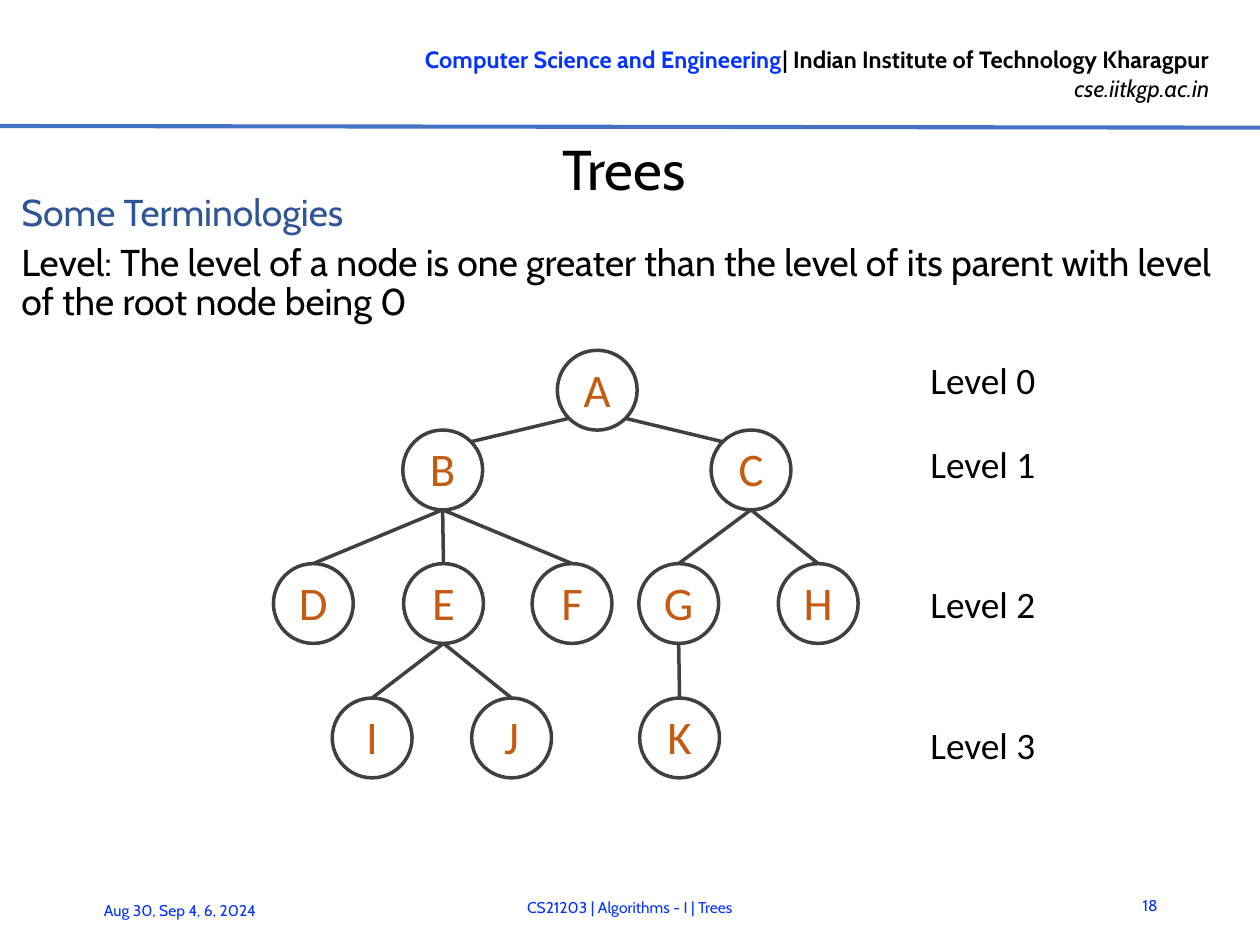
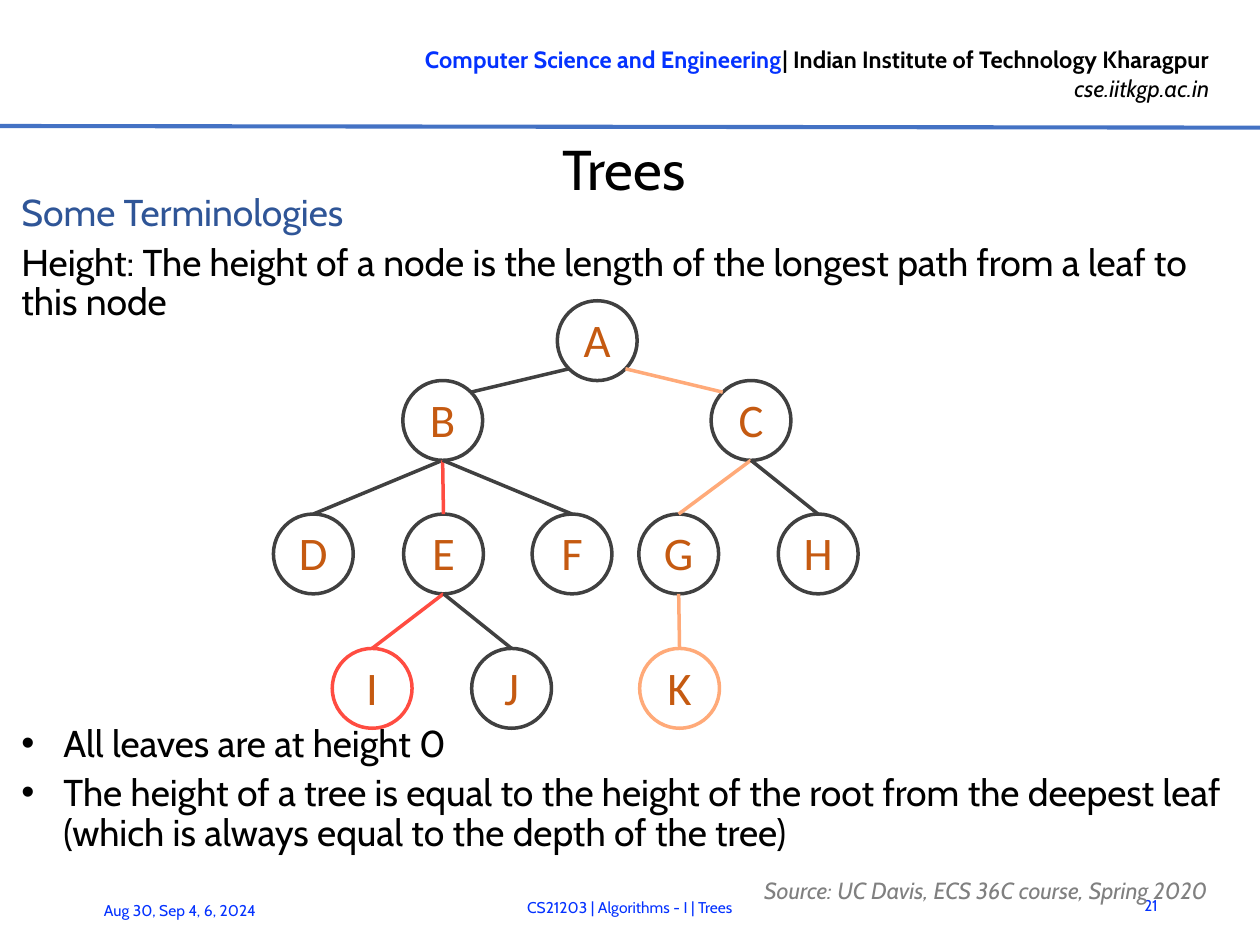
from math import sqrt

from lxml import etree
from pptx import Presentation
from pptx.dml.color import RGBColor
from pptx.enum.shapes import MSO_CONNECTOR, MSO_SHAPE
from pptx.enum.text import MSO_ANCHOR, PP_ALIGN
from pptx.oxml.ns import qn
from pptx.util import Inches, Pt

LEFT, CENTER, RIGHT = PP_ALIGN.LEFT, PP_ALIGN.CENTER, PP_ALIGN.RIGHT
TOP, MIDDLE = MSO_ANCHOR.TOP, MSO_ANCHOR.MIDDLE
STRAIGHT, OVAL = MSO_CONNECTOR.STRAIGHT, MSO_SHAPE.OVAL

COLUMNS, ROWS = 75, 56.25  # square grid cells of a tenth of an inch

BLACK, LINK_BLUE, RULE_BLUE, HEADING_BLUE = "000000", "0432FF", "4472C4", "2F5597"
OUTLINE, LETTER, GREY = "404040", "C55A11", "808080"
RED, ORANGE = "FF4C41", "FFAA79"

HEADER_SIZE, FOOTER_SIZE = 10.13, 6.75

DIAMETER = 4.75
LEVEL_TOPS = [20.85, 25.6, 33.55, 41.55]
# node: (level, centre column)
NODES = {
    "A": (0, 35.55), "B": (1, 26.35), "C": (1, 44.7),
    "D": (2, 18.65), "E": (2, 26.4), "F": (2, 34.05),
    "G": (2, 40.4), "H": (2, 48.7),
    "I": (3, 22.15), "J": (3, 30.45), "K": (3, 40.45),
}
EDGES = ["AB", "AC", "BD", "BE", "BF", "CG", "CH", "EI", "EJ", "GK"]
LEVEL_LABEL_TOPS = [20.8, 25.8, 34.1, 42.5]
HEIGHT_PATHS = {"BE": RED, "EI": RED, "I": RED,
                "AC": ORANGE, "CG": ORANGE, "GK": ORANGE, "K": ORANGE}


def cells(count):
    """Length of a number of grid cells."""
    return Inches(count / 10)


def rgb(color):
    return RGBColor.from_string(color)


def style_runs(paragraph, size, color, font="Cabin", bold=False, italic=False):
    for run in paragraph.runs:
        run.font.name = font
        run.font.size = Pt(size)
        run.font.bold = bold
        run.font.italic = italic
        run.font.color.rgb = rgb(color)


def add_bullet(paragraph):
    properties = paragraph._p.get_or_add_pPr()
    properties.set("marL", str(cells(2.5)))
    properties.set("indent", str(-cells(2.5)))
    etree.SubElement(properties, qn("a:buFont")).set("typeface", "Arial")
    etree.SubElement(properties, qn("a:buChar")).set("char", "•")


class Deck:
    """Lecture style together with the slide being built."""

    def __init__(self):
        self.presentation = Presentation()
        self.presentation.slide_width = cells(COLUMNS)
        self.presentation.slide_height = cells(ROWS)
        self.slide = None

    def new_slide(self, title, number):
        blank = self.presentation.slide_layouts[6]
        self.slide = self.presentation.slides.add_slide(blank)
        self.header()
        self.text((2.4, 7.9, 69.4, 4.1), [title], 24, align=CENTER, anchor=MIDDLE,
                  margins=(0.1, 0.1, 0, 0))
        footers = [
            ((5.2, 52.7, 13.1, 3), "Aug 30, Sep 4, 6, 2024", LEFT),
            ((12.4, 52.5, 50.2, 3), "CS21203 | Algorithms - I | Trees", CENTER),
            ((66.2, 52.4, 3.7, 3), str(number), RIGHT),
        ]
        for box, words, align in footers:
            self.text(box, [words], FOOTER_SIZE, LINK_BLUE, align=align, anchor=MIDDLE)

    def header(self):
        frame = self.text((19.1, 2.2, 53.9, 4.4),
                          ["Computer Science and Engineering", "cse.iitkgp.ac.in"],
                          HEADER_SIZE, align=RIGHT)
        department, site = frame.paragraphs
        department.add_run().text = "| Indian Institute of Technology Kharagpur"
        style_runs(department, HEADER_SIZE, BLACK, bold=True)
        department.runs[0].font.color.rgb = rgb(LINK_BLUE)
        style_runs(site, HEADER_SIZE, BLACK, italic=True)
        self.line((0, 7.5), (COLUMNS, 7.6), RULE_BLUE, 1.75)

    def text(self, box, lines, size, color=BLACK, font="Cabin", align=LEFT,
             anchor=TOP, margins=(1, 0.5, 1, 0.5), italic=False):
        """Text box with one paragraph per line; returns its text frame."""
        shape = self.slide.shapes.add_textbox(*map(cells, box))
        frame = shape.text_frame
        frame.word_wrap = True
        frame.vertical_anchor = anchor
        (frame.margin_left, frame.margin_top,
         frame.margin_right, frame.margin_bottom) = map(cells, margins)
        frame.text = "\n".join(lines)
        for paragraph in frame.paragraphs:
            paragraph.alignment = align
            style_runs(paragraph, size, color, font, italic=italic)
        return frame

    def body(self, top, height, lines):
        frame = self.text((0.3, top, 73.7, height), lines, 16)
        for index, paragraph in enumerate(frame.paragraphs):
            paragraph.line_spacing = Pt(17)
            paragraph.space_before = Pt(2 if index else 0)
            paragraph.space_after = Pt(2)
        return frame

    def definition(self, words):
        frame = self.body(11.1, 8.1, ["Some Terminologies", words])
        style_runs(frame.paragraphs[0], 16, HEADING_BLUE)

    def bullets(self, top, height, lines):
        for paragraph in self.body(top, height, lines).paragraphs:
            add_bullet(paragraph)

    def source(self, words):
        frame = self.text((44.5, 51.7, 30.2, 1.7), [words], 10, GREY,
                          anchor=MIDDLE, italic=True)
        frame.paragraphs[0].line_spacing = Pt(18)

    def line(self, start, end, color, width=1.5):
        connector = self.slide.shapes.add_connector(
            STRAIGHT, *map(cells, (*start, *end)))
        connector.line.color.rgb = rgb(color)
        connector.line.width = Pt(width)
        etree.SubElement(connector._element.spPr, qn("a:effectLst"))
        return connector

    def node(self, letter, center, top, color):
        circle = self.slide.shapes.add_shape(
            OVAL, *map(cells, (center - DIAMETER / 2, top, DIAMETER, DIAMETER)))
        circle.shadow.inherit = False
        circle.fill.background()
        circle.line.color.rgb = rgb(color)
        circle.line.width = Pt(1.5)
        frame = circle.text_frame
        frame.word_wrap = False
        frame.vertical_anchor = MIDDLE
        frame.margin_left = frame.margin_right = frame.margin_top = 0
        frame.margin_bottom = cells(0.2)
        frame.text = letter
        frame.paragraphs[0].alignment = CENTER
        style_runs(frame.paragraphs[0], 20, LETTER, "Calibri")
        return circle

    def tree(self, shift=0, colors=None):
        """Draw the tree, moved by shift rows; colors maps nodes and edges."""
        colors = colors or {}
        tops = [top + shift for top in LEVEL_TOPS]
        circles = {
            letter: self.node(letter, center, tops[level], colors.get(letter, OUTLINE))
            for letter, (level, center) in NODES.items()
        }
        diagonal = DIAMETER / 2 / sqrt(2)
        for edge in EDGES:
            parent, child = edge
            level, start_x = NODES[parent]
            end_x = NODES[child][1]
            start_y, end_y = tops[level] + DIAMETER, tops[level + 1]
            color = colors.get(edge, OUTLINE)
            if level == 0:
                side = diagonal if end_x > start_x else -diagonal
                inset = DIAMETER / 2 - diagonal
                self.line((start_x + side, start_y - inset),
                          (end_x - side, end_y + inset), color)
            else:
                connector = self.line((start_x, start_y), (end_x, end_y), color)
                connector.end_connect(circles[child], 0)


def main():
    deck = Deck()

    deck.new_slide("Trees", 18)
    deck.definition("Level: The level of a node is one greater than the level of its "
                    "parent with level of the root node being 0")
    deck.tree()
    for level, top in enumerate(LEVEL_LABEL_TOPS):
        deck.text((54.4, top, 8.4, 4.1), [f"Level {level}"], 16, font="Calibri")

    deck.new_slide("Trees", 21)
    deck.definition("Height: The height of a node is the length of the longest path "
                    "from a leaf to this node")
    deck.bullets(42.7, 8.9, [
        "All leaves are at height 0",
        "The height of a tree is equal to the height of the root from the deepest "
        "leaf (which is always equal to the depth of the tree)",
    ])
    deck.source("Source: UC Davis, ECS 36C course, Spring 2020")
    deck.tree(shift=-2.95, colors=HEIGHT_PATHS)

    deck.presentation.save("out.pptx")


if __name__ == "__main__":
    main()
